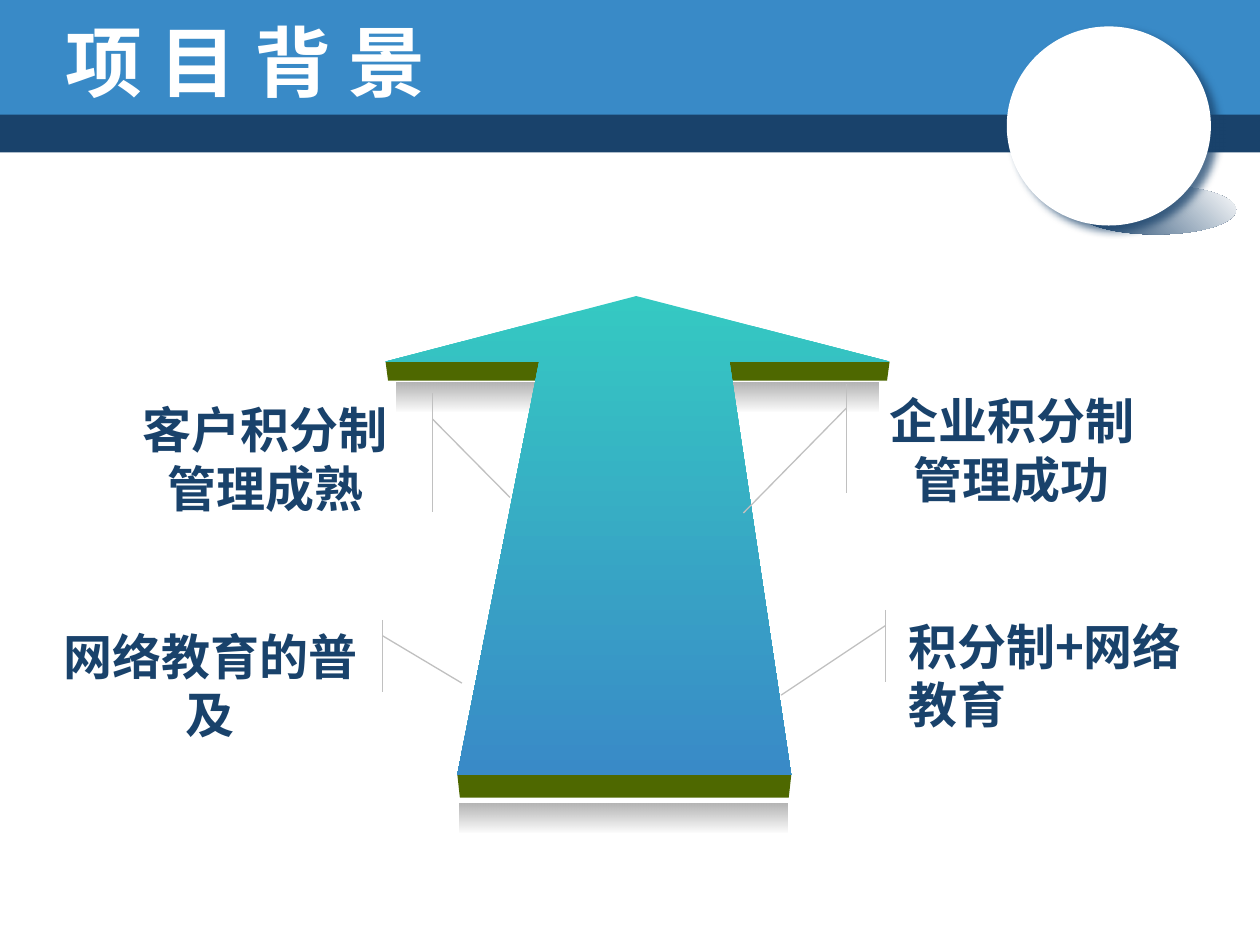
from lxml.etree import SubElement
from pptx import Presentation
from pptx.dml.color import RGBColor
from pptx.enum.shapes import MSO_SHAPE
from pptx.enum.text import MSO_ANCHOR, PP_ALIGN
from pptx.oxml.ns import qn
from pptx.util import Inches, Pt

COLORS = {
    "navy": "19426B", "blue": "398AC7", "teal": "35C9C2", "white": "FFFFFF",
    "edge": "4E6800", "shade": "B2B2B2", "line": "C0C0C0",
}
FONT = "Noto Sans CJK SC"
TITLE = "项 目 背 景"

# Pointer shapes: bar y, bar x, end y, end x as fractions of the callout box
LEFT_POINTER = (0.219, 1.033, 0.881, 1.28)
RIGHT_POINTER = (0.219, -0.033, 1.189, -0.366)
CALLOUTS = [
    ("客户积分制管理成熟", (0.86, 3.12, 2.49, 0.94), LEFT_POINTER, PP_ALIGN.CENTER),
    ("企业积分制管理成功", (6.8, 3.05, 2.46, 0.86), RIGHT_POINTER, PP_ALIGN.CENTER),
    ("积分制+网络教育", (7.11, 4.84, 2.49, 0.57), RIGHT_POINTER, PP_ALIGN.LEFT),
    ("网络教育的普及", (0.39, 4.92, 2.56, 0.57), LEFT_POINTER, PP_ALIGN.CENTER),
]

# Arrow in perspective: head row, base row and thickness of the edges
HEAD_Y, BASE_Y = 2.87, 6.15
ARROW_FACE = [(5.05, 2.35), (7.06, HEAD_Y), (5.79, HEAD_Y), (6.28, BASE_Y),
              (3.63, BASE_Y), (4.28, HEAD_Y), (3.06, HEAD_Y)]
# left, right, top, height, inset of the lower left and lower right corner
ARROW_EDGES = [(3.06, 4.28, HEAD_Y, 0.15, 0.02, 0.03),
               (5.79, 7.06, HEAD_Y, 0.15, -0.02, 0.02),
               (3.63, 6.28, BASE_Y, 0.18, 0.02, 0.02)]
ARROW_SHADES = [(3.15, 3.04, 3.82, 0.23), (3.65, 6.38, 2.6, 0.23)]


def rgb(name):
    return RGBColor.from_string(COLORS[name])


def paint(shape, *names, angle=270, fade=False):
    """Solid fill for one colour, gradient for two; angle is counter-clockwise."""
    shape.shadow.inherit = False
    shape.line.fill.background()
    if len(names) == 1:
        shape.fill.solid()
        shape.fill.fore_color.rgb = rgb(names[0])
        return
    shape.fill.gradient()
    shape.fill.gradient_angle = angle
    for position, (stop, name) in enumerate(zip(shape.fill.gradient_stops, names)):
        stop.position = position
        stop.color.rgb = rgb(name)
    if fade:
        last = list(shape._element.spPr.iter(qn("a:srgbClr")))[-1]
        SubElement(last, qn("a:alpha"), val="0")


def add_preset(slide, preset, box):
    return slide.shapes.add_shape(preset, *map(Inches, box))


def add_outline(slide, points):
    corners = [(Inches(x), Inches(y)) for x, y in points]
    builder = slide.shapes.build_freeform(*corners[0])
    builder.add_line_segments(corners[1:], close=True)
    return builder.convert_to_shape()


def write(shape, text, *, size, color, align=PP_ALIGN.LEFT, anchor=MSO_ANCHOR.TOP):
    frame = shape.text_frame
    frame.word_wrap = True
    frame.vertical_anchor = anchor
    paragraph = frame.paragraphs[0]
    paragraph.alignment = align
    run = paragraph.add_run()
    run.text = text
    run.font.size = Pt(size)
    run.font.bold = True
    run.font.name = FONT
    run.font.color.rgb = rgb(color)
    SubElement(run.font._element, qn("a:ea"), typeface=FONT)


def add_header(slide):
    # Bands
    paint(add_preset(slide, MSO_SHAPE.RECTANGLE, (0, 0.87, 10, 0.34)), "navy")
    paint(add_preset(slide, MSO_SHAPE.RECTANGLE, (0, 0, 10, 0.91)), "blue")

    # Disc with its cast shadow
    cast = add_preset(slide, MSO_SHAPE.OVAL, (8.54, 1.47, 1.27, 0.39))
    paint(cast, "navy", "white", angle=45)
    disc = add_preset(slide, MSO_SHAPE.OVAL, (7.99, 0.21, 1.62, 1.58))
    paint(disc, "white")
    effects = disc._element.spPr.find(qn("a:effectLst"))
    shadow = SubElement(effects, qn("a:outerShdw"), blurRad=str(Pt(5)),
                        dist=str(Pt(5)), dir=str(37 * 60000), rotWithShape="0")
    tint = SubElement(shadow, qn("a:srgbClr"), val=COLORS["navy"])
    SubElement(tint, qn("a:alpha"), val="75000")

    # Title, brought in front of the bands
    title = slide.shapes.title
    title.left, title.top, title.width, title.height = map(Inches, (0.42, 0.17, 8.08, 0.62))
    write(title, TITLE, size=44, color="white", anchor=MSO_ANCHOR.MIDDLE)
    slide.shapes._spTree.append(title._element)


def add_arrow(slide):
    for box in ARROW_SHADES:
        paint(add_preset(slide, MSO_SHAPE.RECTANGLE, box), "shade", "shade", fade=True)
    for left, right, top, height, inset_left, inset_right in ARROW_EDGES:
        bottom = top + height
        points = [(left, top), (right, top),
                  (right - inset_right, bottom), (left + inset_left, bottom)]
        paint(add_outline(slide, points), "edge")
    paint(add_outline(slide, ARROW_FACE), "teal", "blue")


def add_callout(slide, text, box, pointer, align):
    callout = add_preset(slide, MSO_SHAPE.LINE_CALLOUT_1_ACCENT_BAR, box)
    for index, value in enumerate(pointer):
        callout.adjustments[index] = value
    callout.shadow.inherit = False
    callout.fill.background()
    callout.line.color.rgb = rgb("line")
    callout.line.width = Pt(0.75)
    write(callout, text, size=28, color="navy", align=align)


def main():
    presentation = Presentation()
    presentation.slide_width, presentation.slide_height = Inches(10), Inches(7.5)
    slide = presentation.slides.add_slide(presentation.slide_layouts[5])
    add_header(slide)
    add_arrow(slide)
    for callout in CALLOUTS:
        add_callout(slide, *callout)
    presentation.save("out.pptx")


if __name__ == "__main__":
    main()
